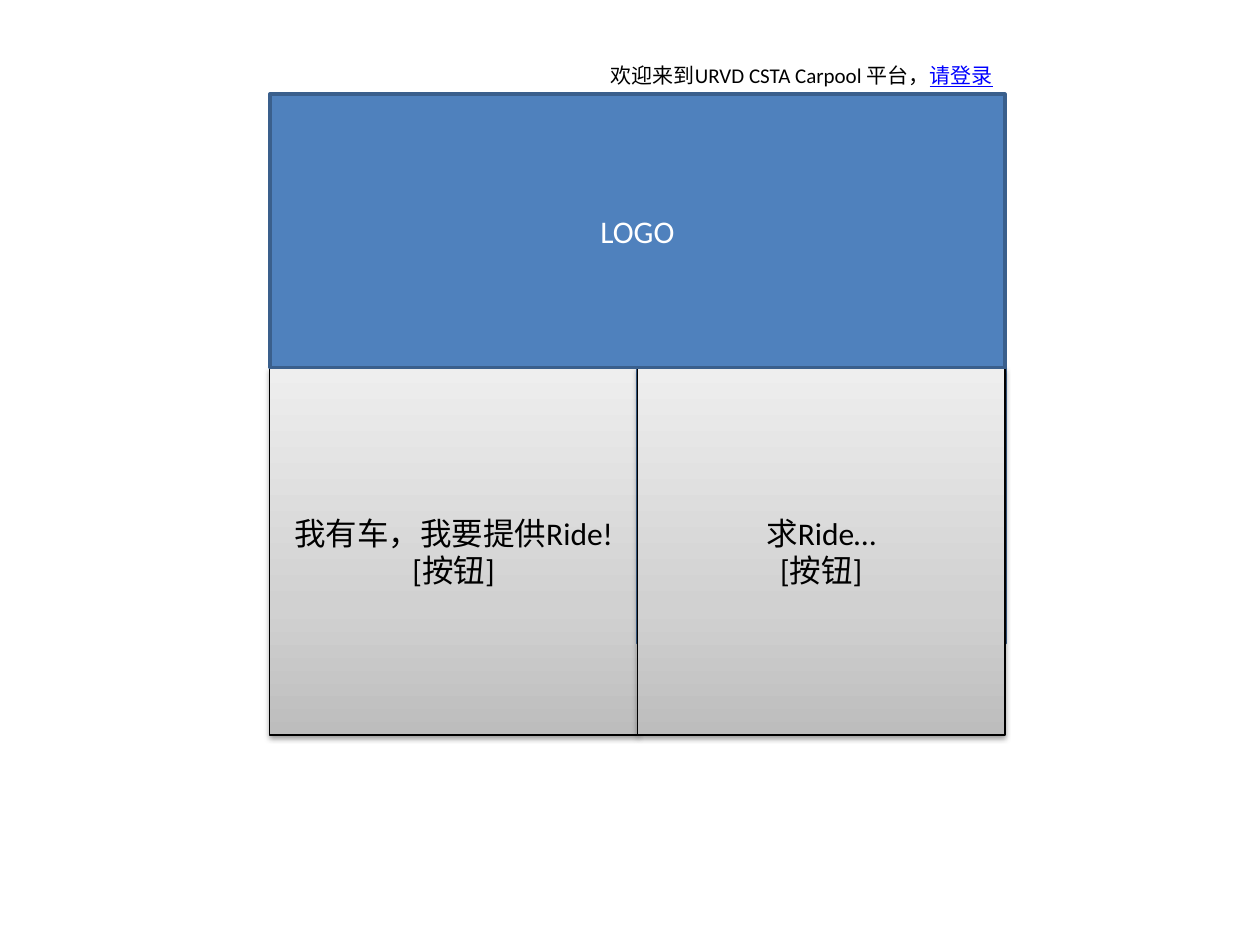
"""Build a carpool home page wireframe with a banner and two buttons."""

import copy
from dataclasses import dataclass

import lxml.etree
import pptx
import pptx.dml.color
import pptx.enum.shapes
import pptx.enum.text
import pptx.oxml.ns
import pptx.shapes.autoshape
import pptx.slide
import pptx.util
from pptx.util import Cm

BLACK = pptx.dml.color.RGBColor(0x00, 0x00, 0x00)
WHITE = pptx.dml.color.RGBColor(0xFF, 0xFF, 0xFF)
BLUE = pptx.dml.color.RGBColor(0x4F, 0x81, 0xBD)
DARK_BLUE = pptx.dml.color.RGBColor(0x3A, 0x5F, 0x8C)
LINK_BLUE = pptx.dml.color.RGBColor(0x00, 0x00, 0xFF)
BUTTON_STOPS = (
    (0, pptx.dml.color.RGBColor(0xBD, 0xBD, 0xBD)),
    (0.35, pptx.dml.color.RGBColor(0xD1, 0xD1, 0xD1)),
    (1, pptx.dml.color.RGBColor(0xEE, 0xEE, 0xEE)),
)
FONT = "Calibri"

LEFT = Cm(5.44)
SIDE = Cm(7.41)
MIDDLE = LEFT + SIDE
BANNER_TOP = Cm(1.9)
BUTTON_TOP = Cm(7.41)
PANEL_TOP = Cm(5.56)
GREETING_HEIGHT = Cm(0.77)


@dataclass(frozen=True)
class Box:
    left: int
    top: int
    width: int
    height: int
    text: str = ""
    is_button: bool = False


BOXES = (
    Box(LEFT, BUTTON_TOP, SIDE, SIDE, "我有车，我要提供Ride!\n[按钮]", True),
    Box(MIDDLE, PANEL_TOP, SIDE, SIDE),
    Box(MIDDLE, BUTTON_TOP, SIDE, SIDE, "求Ride…\n[按钮]", True),
    Box(LEFT, BANNER_TOP, 2 * SIDE, BUTTON_TOP - BANNER_TOP, "LOGO"),
)


def style_button(shape: pptx.shapes.autoshape.Shape) -> None:
    """Give a button its grey gradient and soft shadow."""
    shape.fill.gradient()
    shape.fill.gradient_angle = 90
    properties = shape._element.spPr
    stop_list = properties.find(".//" + pptx.oxml.ns.qn("a:gsLst"))
    stop_list.append(copy.deepcopy(stop_list[0]))
    for stop, (position, color) in zip(shape.fill.gradient_stops, BUTTON_STOPS):
        stop.position = position
        stop.color.rgb = color
    effects = properties.find(pptx.oxml.ns.qn("a:effectLst"))
    shadow = lxml.etree.SubElement(
        effects,
        pptx.oxml.ns.qn("a:outerShdw"),
        blurRad=str(pptx.util.Pt(3.1)),
        dist=str(pptx.util.Pt(1.6)),
        dir="5400000",
        rotWithShape="0",
    )
    color = lxml.etree.SubElement(shadow, pptx.oxml.ns.qn("a:srgbClr"), val=str(BLACK))
    lxml.etree.SubElement(color, pptx.oxml.ns.qn("a:alpha"), val="38000")


def draw_box(slide: pptx.slide.Slide, box: Box) -> None:
    """Draw one rectangle with its centred text."""
    shape = slide.shapes.add_shape(
        pptx.enum.shapes.MSO_SHAPE.RECTANGLE, box.left, box.top, box.width, box.height
    )
    shape.shadow.inherit = False
    if box.is_button:
        style_button(shape)
    else:
        shape.fill.solid()
        shape.fill.fore_color.rgb = BLUE
    shape.line.color.rgb = BLACK if box.is_button else DARK_BLUE
    shape.line.width = pptx.util.Pt(0.75 if box.is_button else 2)
    if not box.text:
        return
    frame = shape.text_frame
    frame.text = box.text
    frame.vertical_anchor = pptx.enum.text.MSO_ANCHOR.MIDDLE
    for paragraph in frame.paragraphs:
        paragraph.alignment = pptx.enum.text.PP_ALIGN.CENTER
        paragraph.font.name = FONT
        paragraph.font.size = pptx.util.Pt(18)
        paragraph.font.color.rgb = BLACK if box.is_button else WHITE


def draw_greeting(slide: pptx.slide.Slide) -> None:
    """Write the welcome line with its login prompt above the banner."""
    text_box = slide.shapes.add_textbox(
        LEFT, BANNER_TOP - GREETING_HEIGHT, 2 * SIDE, GREETING_HEIGHT
    )
    frame = text_box.text_frame
    frame.word_wrap = True
    frame.auto_size = pptx.enum.text.MSO_AUTO_SIZE.SHAPE_TO_FIT_TEXT
    paragraph = frame.paragraphs[0]
    paragraph.alignment = pptx.enum.text.PP_ALIGN.RIGHT
    for text, color, underline in (
        ("欢迎来到URVD CSTA Carpool 平台，", BLACK, False),
        ("请登录", LINK_BLUE, True),
    ):
        run = paragraph.add_run()
        run.text = text
        run.font.name = FONT
        run.font.size = pptx.util.Pt(12)
        run.font.color.rgb = color
        run.font.underline = underline


def main() -> None:
    """Create the slide and save the presentation."""
    presentation = pptx.Presentation()
    presentation.slide_width = Cm(25.4)
    presentation.slide_height = Cm(19.05)
    slide = presentation.slides.add_slide(presentation.slide_layouts[6])
    for box in BOXES:
        draw_box(slide, box)
    draw_greeting(slide)
    presentation.save("out.pptx")


if __name__ == "__main__":
    main()
